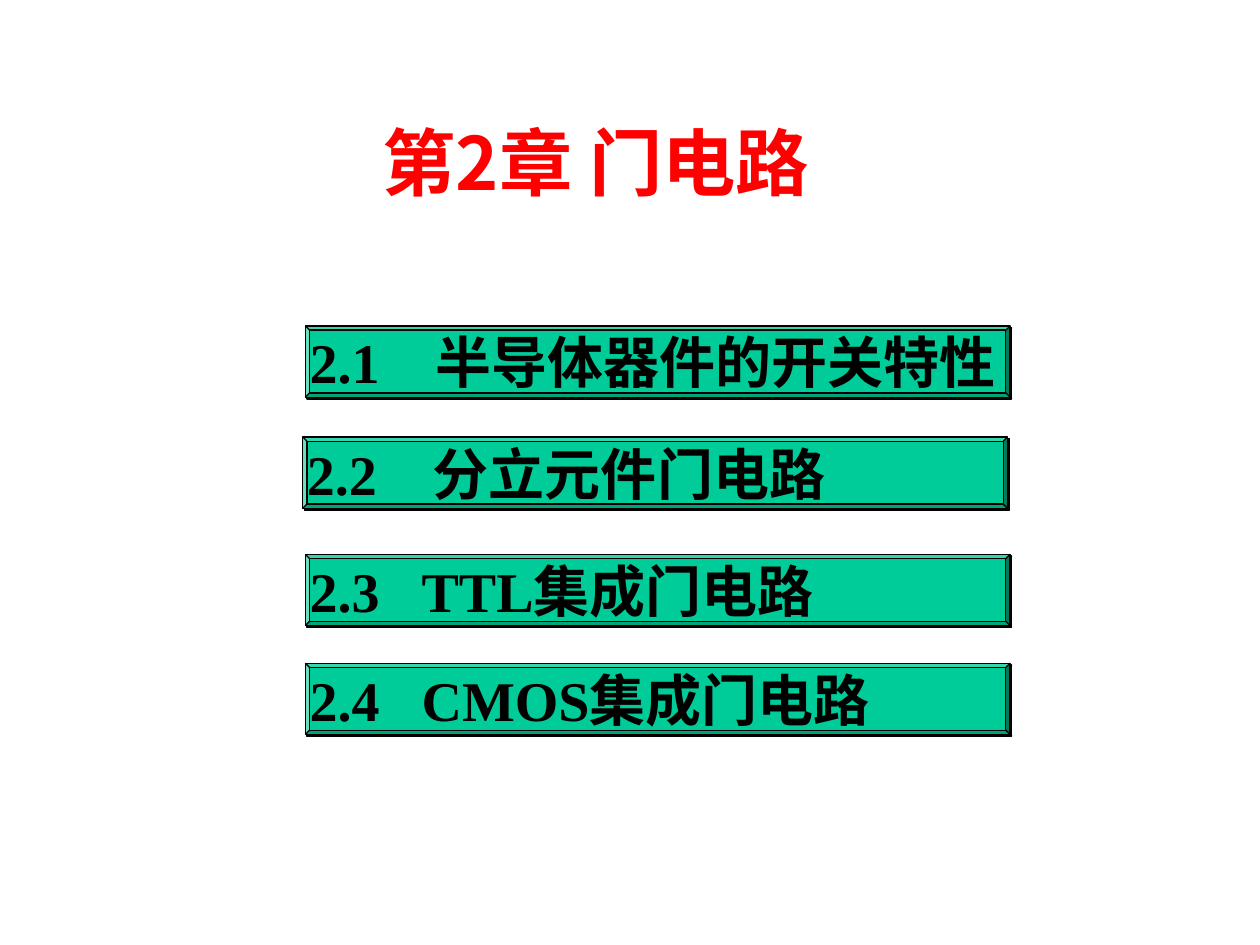
import pptx
import pptx.dml.color
import pptx.enum.shapes
import pptx.enum.text
import pptx.oxml
import pptx.oxml.ns
import pptx.util

Pt = pptx.util.Pt
CJK_FONT = "Noto Sans CJK SC"
NAMESPACE = pptx.oxml.ns.nsdecls("a")


def color(value):
    return pptx.dml.color.RGBColor.from_string(value)


def write(box, text, size, font, ink, align, side_inset=0, line_spacing=None, tab=None):
    frame = box.text_frame
    frame.word_wrap = True
    frame.auto_size = pptx.enum.text.MSO_AUTO_SIZE.NONE
    frame.vertical_anchor = pptx.enum.text.MSO_ANCHOR.MIDDLE
    frame.margin_left = frame.margin_right = Pt(side_inset)
    frame.margin_top = frame.margin_bottom = Pt(3.6)
    para = frame.paragraphs[0]
    para.alignment = align
    para.line_spacing = line_spacing
    if tab:
        para._p.get_or_add_pPr().append(pptx.oxml.parse_xml(
            f'<a:tabLst {NAMESPACE}><a:tab pos="{Pt(tab)}" algn="l"/></a:tabLst>'))
    span = para.add_run()
    span.text = text
    span.font.size = Pt(size)
    span.font.bold = True
    span.font.color.rgb = color(ink)
    span.font.name = font
    span.font._element.append(pptx.oxml.parse_xml(
        f'<a:ea {NAMESPACE} typeface="{CJK_FONT}"/>'))


deck = pptx.Presentation()
deck.slide_width, deck.slide_height = Pt(720), Pt(540)
page = deck.slides.add_slide(deck.slide_layouts[5])

# Chapter title
title = page.shapes.title
title.left, title.top, title.width, title.height = Pt(127.5), Pt(67), Pt(426), Pt(60)
write(title, "第2章 门电路", size=41.9, font=CJK_FONT, ink="FF0000",
      align=pptx.enum.text.PP_ALIGN.CENTER, side_inset=7.2, line_spacing=0.8)

# Section bars: left, top, tab stop, number and heading
sections = [
    (174.5, 186.25, 72, "2.1\t半导体器件的开关特性"),
    (173, 249.75, 72, "2.2\t分立元件门电路"),
    (174.5, 316.75, 64, "2.3\tTTL集成门电路"),
    (174.5, 379, 64, "2.4\tCMOS集成门电路"),
]
for left, top, tab, heading in sections:
    bar = page.shapes.add_shape(pptx.enum.shapes.MSO_SHAPE.BEVEL,
                                Pt(left), Pt(top), Pt(402.75), Pt(40.75))
    bar.adjustments[0] = 0.06
    bar.fill.solid()
    bar.fill.fore_color.rgb = color("00CC99")
    bar.line.color.rgb = color("000000")
    bar.line.width = Pt(0.75)
    # Hard black shadow to the lower right
    bar.shadow.inherit = False
    effects = bar._element.spPr.find(pptx.oxml.ns.qn("a:effectLst"))
    effects.append(pptx.oxml.parse_xml(
        f'<a:outerShdw {NAMESPACE} dist="{Pt(1.4)}" dir="2700000" algn="ctr" '
        'rotWithShape="0"><a:srgbClr val="000000"/></a:outerShdw>'))
    write(bar, heading, size=32, font="Times New Roman", ink="000000",
          align=pptx.enum.text.PP_ALIGN.LEFT, tab=tab)

deck.save("out.pptx")
